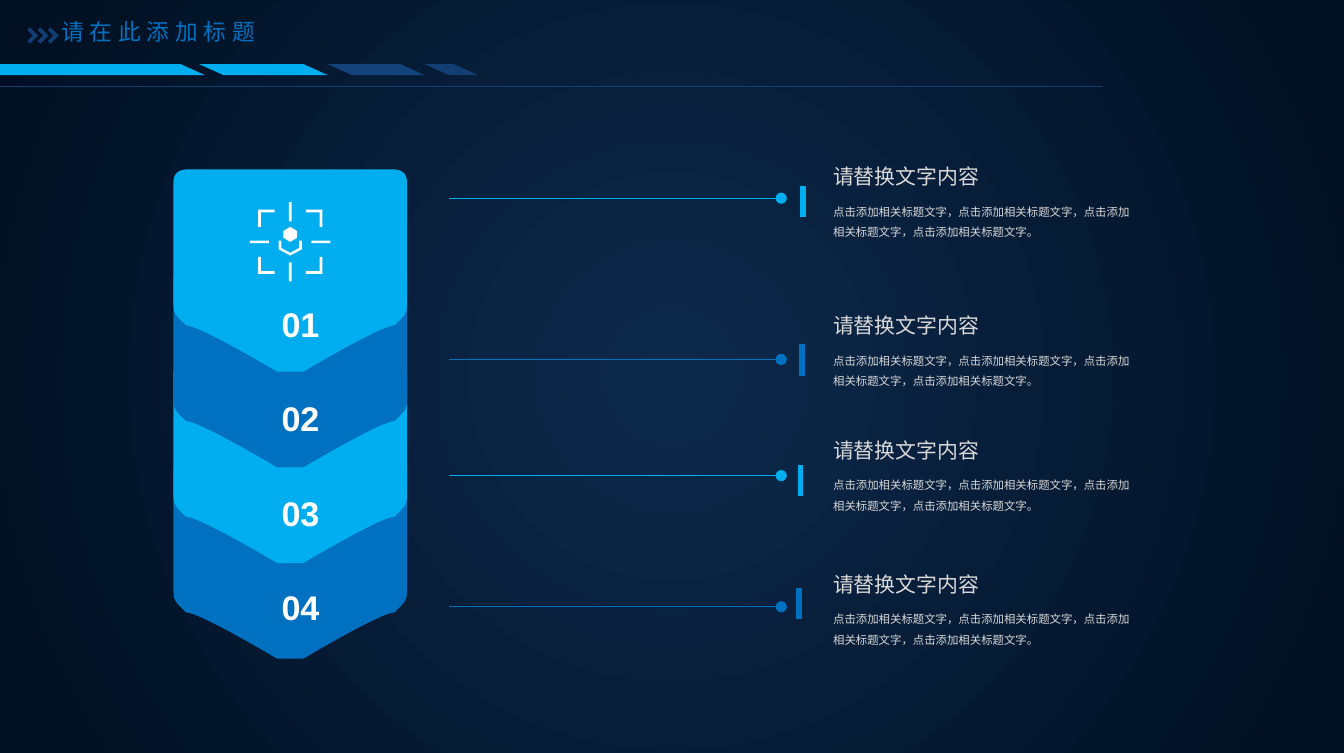
"""Build a dark slide with four stacked chevrons and four captioned leader lines."""
import pptx
import pptx.util
import pptx.dml.color
import pptx.enum.shapes
import pptx.enum.text
import pptx.oxml
import pptx.oxml.ns
from pptx.util import Inches

COLORS = {
    "glow": "0D2A4D", "night": "000F21", "cyan": "00AEEF", "blue": "0070C0",
    "navy": "14427A", "deep": "133E73", "white": "FFFFFF", "grey": "D9D9D9",
}
TITLE = "请在此添加标题"
HEADING = "请替换文字内容"
BODY = "点击添加相关标题文字，点击添加相关标题文字，点击添加相关标题文字，点击添加相关标题文字。"
CHINESE_FONT = "Noto Sans CJK SC"

# number, colour, heading top, leader y, tick top
ITEMS = [
    ("01", "cyan", 1.17, 1.45, 1.36),
    ("02", "blue", 2.26, 2.63, 2.52),
    ("03", "cyan", 3.17, 3.48, 3.40),
    ("04", "blue", 4.15, 4.44, 4.30),
]
HEADER_BARS = [
    (-1.61, 3.11, "cyan"), (1.46, 0.94, "cyan"),
    (2.4, 0.71, "navy"), (3.11, 0.39, "deep"),
]
CENTER_X, STACK_TOP, STACK_STEP = 2.125, 1.24, 0.7
ICON_Y = 1.77
CHEVRON_CURVES = [
    [(0.765, 0), (0.765, 0), (0.855, 0), (0.855, 0.09)],
    [(0.855, 0.96), (0.855, 1.05), (0.855, 1.05), (0.765, 1.14)],
    [(0.765, 1.14), (0.665, 1.14), (0.095, 1.48), (0.095, 1.48)],
]
ICON_CORNER = [(0.235, 0.235), (0.235, 0.11), (0.215, 0.11),
               (0.215, 0.215), (0.115, 0.215), (0.115, 0.235)]
ICON_BARS = [(-0.225, 0, 0.14, 0.02), (0.225, 0, 0.14, 0.02),
             (0, -0.22, 0.02, 0.14), (0, 0.22, 0.02, 0.14)]
ICON_HEXAGON = [(0, -0.11), (0.05, -0.08), (0.05, -0.03), (0, 0)]
ICON_TRAY = [(0, 0.1), (0.085, 0.055), (0.085, -0.01),
             (0.065, -0.01), (0.065, 0.045), (0, 0.08)]
ARROW = [(0, 0.02), (0.02, 0), (0.08, 0.06), (0.02, 0.12), (0, 0.1), (0.04, 0.06)]

presentation = pptx.Presentation()
presentation.slide_width, presentation.slide_height = Inches(9.84), Inches(5.51)
slide = presentation.slides.add_slide(presentation.slide_layouts[5])
qn = pptx.oxml.ns.qn


def rgb(name):
    return pptx.dml.color.RGBColor.from_string(COLORS[name])


def paint(shape, color):
    shape.shadow.inherit = False
    shape.fill.solid()
    shape.fill.fore_color.rgb = rgb(color)
    shape.line.fill.background()


def add_outline(points, left, top, color):
    vertices = [(Inches(left + x), Inches(top + y)) for x, y in points]
    builder = slide.shapes.build_freeform(*vertices[0], scale=1.0)
    builder.add_line_segments(vertices[1:], close=True)
    paint(builder.convert_to_shape(), color)


def mirrored(points):
    return points + [(-x, y) for x, y in reversed(points)]


def curve_points(curve, steps=12):
    for step in range(steps + 1):
        t = step / steps
        weights = ((1 - t) ** 3, 3 * t * (1 - t) ** 2, 3 * t * t * (1 - t), t ** 3)
        yield tuple(sum(w * p[axis] for w, p in zip(weights, curve)) for axis in (0, 1))


def add_line(start, end, color, width, dot=False):
    line = slide.shapes.add_connector(
        pptx.enum.shapes.MSO_CONNECTOR.STRAIGHT, *map(Inches, start + end))
    line.line.color.rgb = rgb(color)
    line.line.width = pptx.util.Pt(width)
    if dot:
        head = pptx.oxml.parse_xml(
            '<a:headEnd xmlns:a="http://schemas.openxmlformats.org/drawingml/2006/main" type="oval"/>')
        line.line._get_or_add_ln().append(head)
    properties = line.element.spPr
    properties.append(properties.makeelement(qn("a:effectLst"), {}))


def write(shape, text, size, font, color, spacing=None, bold=False,
          align=pptx.enum.text.PP_ALIGN.LEFT, insets=(0.07, 0.03)):
    frame = shape.text_frame
    frame.word_wrap = True
    frame.auto_size = pptx.enum.text.MSO_AUTO_SIZE.NONE
    frame.vertical_anchor = pptx.enum.text.MSO_ANCHOR.TOP
    frame.margin_left = frame.margin_right = Inches(insets[0])
    frame.margin_top = frame.margin_bottom = Inches(insets[1])
    paragraph = frame.paragraphs[0]
    paragraph.alignment = align
    paragraph.line_spacing = spacing
    run = paragraph.add_run()
    run.text = text
    run.font.size = pptx.util.Pt(size)
    run.font.name = font
    run.font.bold = bold
    run.font.color.rgb = rgb(color)
    properties = run.font._element
    properties.append(properties.makeelement(qn("a:ea"), {"typeface": CHINESE_FONT}))
    return run


def add_text(left, top, width, height, *arguments, **options):
    box = slide.shapes.add_textbox(*map(Inches, (left, top, width, height)))
    write(box, *arguments, **options)


def set_background():
    fill = slide.background.fill
    fill.gradient()
    for stop, color, position in zip(fill.gradient_stops, ("glow", "night"), (0, 0.97)):
        stop.color.rgb = rgb(color)
        stop.position = position
    gradient = next(slide.element.iter(qn("a:gradFill")))
    gradient.replace(gradient.find(qn("a:lin")), pptx.oxml.parse_xml(
        '<a:path xmlns:a="http://schemas.openxmlformats.org/drawingml/2006/main" path="circle">'
        '<a:fillToRect l="50000" t="50000" r="50000" b="50000"/></a:path>'))


def add_header():
    for left, width, color in HEADER_BARS:
        bar = slide.shapes.add_shape(
            pptx.enum.shapes.MSO_SHAPE.PARALLELOGRAM,
            *map(Inches, (left, 0.47, width, 0.08)))
        bar.adjustments[0] = 2.208
        bar.element.spPr.xfrm.set("flipV", "1")
        paint(bar, color)
    add_line((0, 0.63), (8.07, 0.63), "deep", 0.5)
    for index in range(3):
        add_outline(ARROW, 0.2 + 0.075 * index, 0.2, "deep")
    title = slide.shapes.title
    title.left, title.top, title.width, title.height = map(Inches, (0.35, 0.08, 1.8, 0.3))
    run = write(title, TITLE, 12, CHINESE_FONT, "blue", insets=(0.1, 0.05))
    run.font._element.set("spc", "300")


def add_stack():
    half = [point for curve in CHEVRON_CURVES for point in curve_points(curve)]
    for index, (_, color, *_) in reversed(list(enumerate(ITEMS))):
        add_outline(mirrored(half), CENTER_X, STACK_TOP + STACK_STEP * index, color)
    for index, (number, *_) in enumerate(ITEMS):
        add_text(1.66, 2.1 + 0.69 * index, 1.08, 0.46, number, 18, "Arial", "white",
                 spacing=1.3, bold=True, align=pptx.enum.text.PP_ALIGN.CENTER)


def add_icon():
    for sign_x in (-1, 1):
        for sign_y in (-1, 1):
            corner = [(sign_x * x, sign_y * y) for x, y in ICON_CORNER]
            add_outline(corner, CENTER_X, ICON_Y, "white")
    for x, y, width, height in ICON_BARS:
        bar = slide.shapes.add_shape(
            pptx.enum.shapes.MSO_SHAPE.RECTANGLE,
            Inches(CENTER_X + x - width / 2), Inches(ICON_Y + y - height / 2),
            Inches(width), Inches(height))
        paint(bar, "white")
    for half in (ICON_HEXAGON, ICON_TRAY):
        add_outline(mirrored(half), CENTER_X, ICON_Y, "white")


def add_captions():
    for index, (_, color, heading_top, leader_y, tick_top) in enumerate(ITEMS):
        tick_x = 5.88 - 0.01 * index
        add_line((5.72, leader_y), (3.29, leader_y), color, 0.5, dot=True)
        add_line((tick_x, tick_top), (tick_x, tick_top + 0.23), color, 3)
        add_text(6.03, heading_top, 1.3, 0.26, HEADING, 11, "Calibri", "grey")
        add_text(6.03, heading_top + 0.25, 2.31, 0.36, BODY, 6, "Arial", "grey", spacing=1.5)


set_background()
add_stack()
add_icon()
add_captions()
add_header()
presentation.save("out.pptx")
